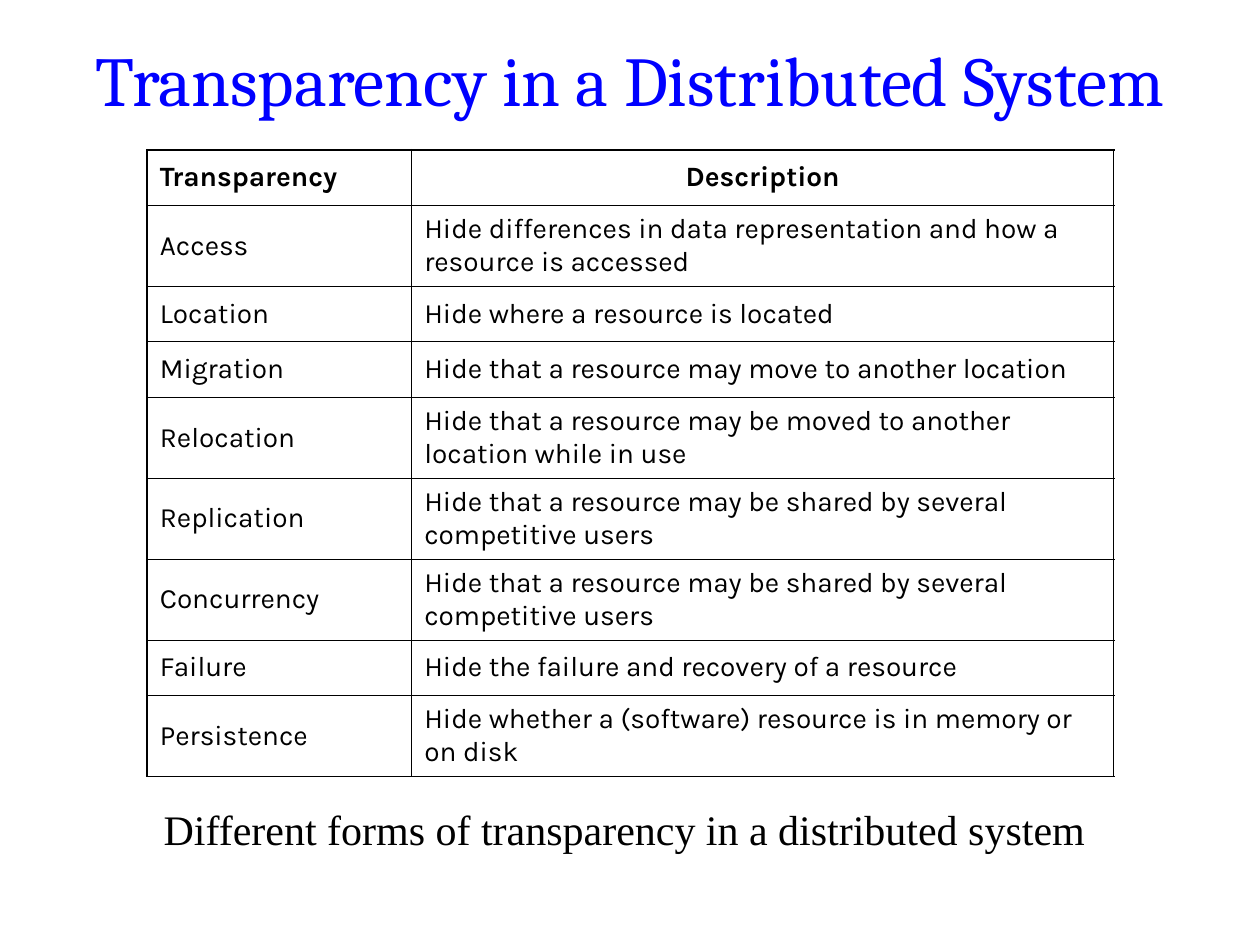
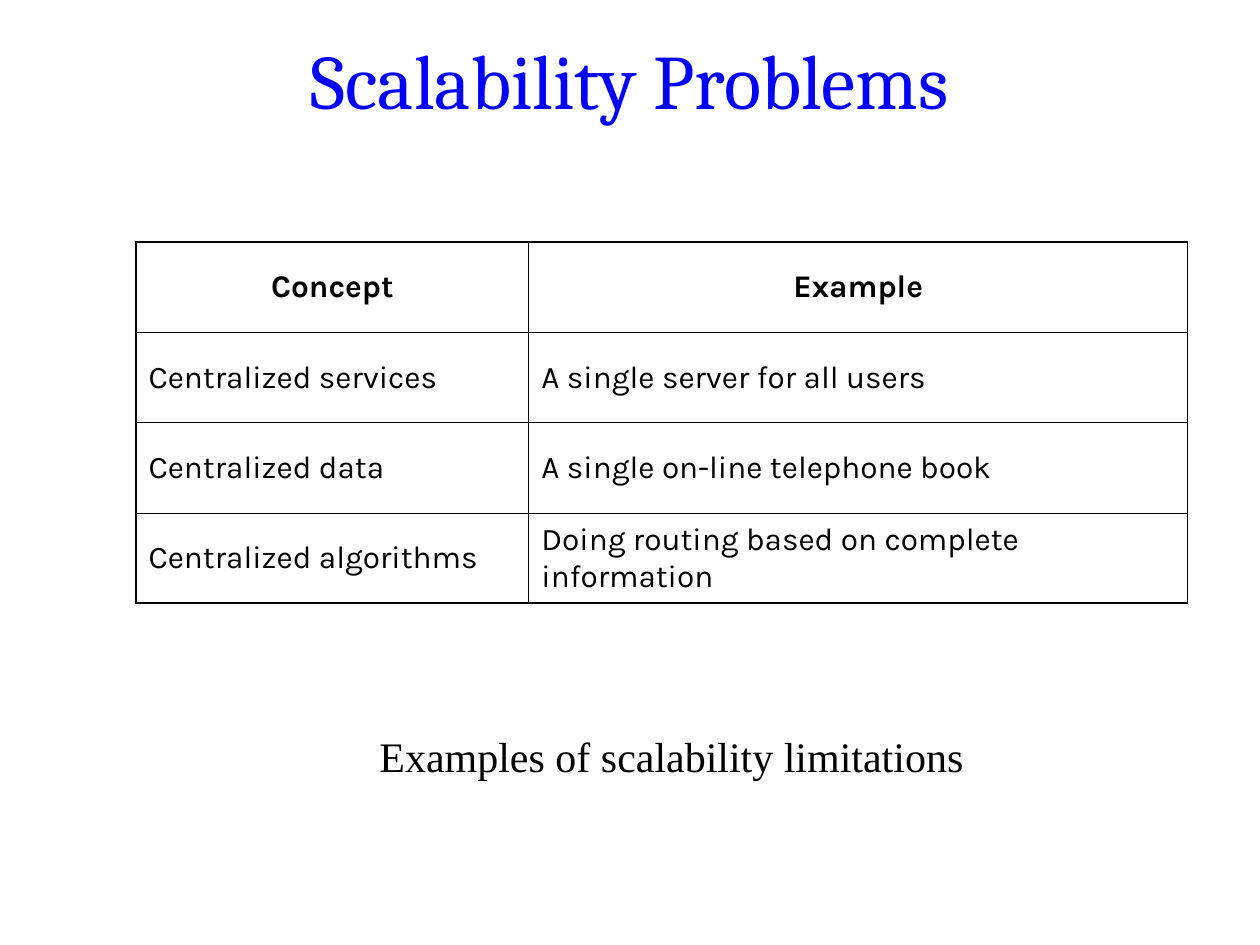
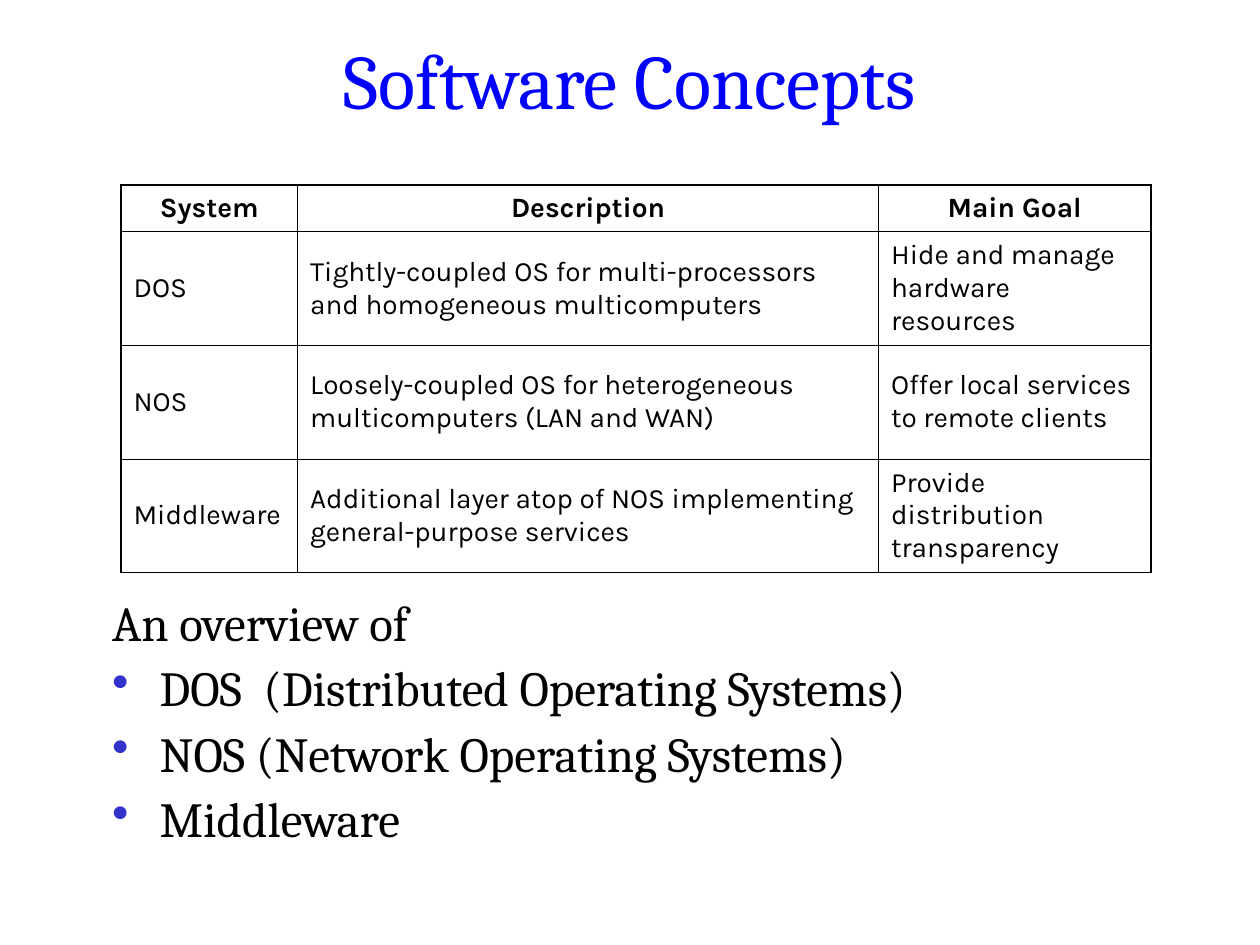
"""Three slides on distributed systems: transparency, scalability and software concepts."""
from lxml.etree import SubElement
from pptx import Presentation
from pptx.dml.color import RGBColor
from pptx.enum.text import MSO_ANCHOR as Anchor, PP_ALIGN as Align
from pptx.oxml.ns import qn
from pptx.util import Cm, Pt

COLORS = {"title": "0000FF", "text": "000000", "rule": "000000", "bullet": "3333CC"}
FONTS = {"title": "Cambria", "body": "Cambria", "caption": "Times New Roman", "table": "Karla"}
RULES = {"outer": 1.08, "inner": 0.45}
SLIDE_SIZE = (25.4, 19.05)
TITLE_BOX = (0, 0, 25.4, 3.18)
HANGING = 0.96
ONE_LINE, TWO_LINES = 1.12, 1.63

SLIDES = [
    {
        "title": ("Transparency in a Distributed System", 40),
        "caption": ("Different forms of transparency in a distributed system", (0.84, 16.08, 23.5, 1.27)),
        "table": {
            "corner": (2.97, 3.02),
            "columns": (5.33, 14.15),
            "rows": [ONE_LINE, TWO_LINES, ONE_LINE, ONE_LINE, TWO_LINES,
                     TWO_LINES, TWO_LINES, ONE_LINE, TWO_LINES],
            "size": 16,
            "head_align": (Align.LEFT, Align.CENTER),
            "cells": [
                ("Transparency", "Description"),
                ("Access", "Hide differences in data representation and how a resource is accessed"),
                ("Location", "Hide where a resource is located"),
                ("Migration", "Hide that a resource may move to another location"),
                ("Relocation", "Hide that a resource may be moved to another location while in use"),
                ("Replication", "Hide that a resource may be shared by several competitive users"),
                ("Concurrency", "Hide that a resource may be shared by several competitive users"),
                ("Failure", "Hide the failure and recovery of a resource"),
                ("Persistence", "Hide whether a (software) resource is in memory or on disk"),
            ],
        },
    },
    {
        "title": ("Scalability Problems", 44),
        "caption": ("Examples of scalability limitations", (3.38, 14.6, 20.32, 1.27)),
        "table": {
            "corner": (2.74, 4.88),
            "columns": (7.92, 13.28),
            "rows": [1.82] * 4,
            "size": 18,
            "head_align": (Align.CENTER,) * 2,
            "cells": [
                ("Concept", "Example"),
                ("Centralized services", "A single server for all users"),
                ("Centralized data", "A single on-line telephone book"),
                ("Centralized algorithms", "Doing routing based on complete information"),
            ],
        },
    },
    {
        "title": ("Software Concepts", 44),
        "overview": {
            "box": (2.01, 11.96, 22.43, 5.28),
            "intro": "An overview of",
            "systems": [
                "DOS  (Distributed Operating Systems)",
                "NOS (Network Operating Systems)",
                "Middleware",
            ],
        },
        "table": {
            "corner": (2.44, 3.73),
            "columns": (3.56, 11.71, 5.49),
            "rows": [0.94] + [2.29] * 3,
            "size": 16,
            "head_align": (Align.CENTER,) * 3,
            "cells": [
                ("System", "Description", "Main Goal"),
                ("DOS", "Tightly-coupled OS for multi-processors and homogeneous multicomputers",
                 "Hide and manage hardware resources"),
                ("NOS", "Loosely-coupled OS for heterogeneous multicomputers (LAN and WAN)",
                 "Offer local services to remote clients"),
                ("Middleware", "Additional layer atop of NOS implementing general-purpose services",
                 "Provide distribution transparency"),
            ],
        },
    },
]


def style(paragraph, role, size, color="text", align=Align.LEFT, before=0, bold=False):
    paragraph.alignment = align
    paragraph.space_before = Pt(before)
    font = paragraph.font
    font.name, font.size, font.bold = FONTS[role], Pt(size), bold
    font.color.rgb = RGBColor.from_string(COLORS[color])


def add_frame(slide, box, anchor=Anchor.TOP):
    frame = slide.shapes.add_textbox(*map(Cm, box)).text_frame
    frame.word_wrap = True
    frame.vertical_anchor = anchor
    return frame


def add_title(slide, wording, size):
    heading = add_frame(slide, TITLE_BOX, Anchor.MIDDLE).paragraphs[0]
    heading.text = wording
    style(heading, "title", size, "title", Align.CENTER)


def add_caption(slide, wording, box):
    caption = add_frame(slide, box).paragraphs[0]
    caption.text = wording
    style(caption, "caption", 24, align=Align.CENTER, before=15)


def hang(paragraph, bulleted):
    props = paragraph._p.get_or_add_pPr()
    props.set("marL", str(Cm(HANGING)))
    props.set("indent", str(-Cm(HANGING)))
    if bulleted:
        tint = SubElement(props, qn("a:buClr"))
        SubElement(tint, qn("a:srgbClr"), val=COLORS["bullet"])
        SubElement(props, qn("a:buChar"), char="•")
    else:
        SubElement(props, qn("a:buNone"))


def add_overview(slide, box, intro, systems):
    frame = add_frame(slide, box)
    frame.text = "\n".join([intro, *systems])
    for index, line in enumerate(frame.paragraphs):
        style(line, "body", 28, before=7)
        line.line_spacing = 0.9
        hang(line, bulleted=index > 0)


def rule_cell(cell, outer_sides):
    props = cell._tc.get_or_add_tcPr()
    for side, is_outer in outer_sides.items():
        width = Pt(RULES["outer" if is_outer else "inner"])
        rule = SubElement(props, qn(f"a:ln{side}"), w=str(width))
        fill = SubElement(rule, qn("a:solidFill"))
        SubElement(fill, qn("a:srgbClr"), val=COLORS["rule"])


def add_grid(slide, corner, columns, rows, size, head_align, cells):
    extent = (sum(columns), sum(rows))
    grid = slide.shapes.add_table(len(rows), len(columns), *map(Cm, corner + extent)).table
    grid.first_row = grid.horz_banding = False
    for column, width in zip(grid.columns, columns):
        column.width = Cm(width)
    for r, (height, wordings) in enumerate(zip(rows, cells)):
        grid.rows[r].height = Cm(height)
        for c, wording in enumerate(wordings):
            cell = grid.cell(r, c)
            cell.text = wording
            cell.vertical_anchor = Anchor.MIDDLE
            rule_cell(cell, {"L": c == 0, "R": c == len(columns) - 1,
                             "T": r == 0, "B": r == len(rows) - 1})
            cell.fill.background()
            is_head = r == 0
            style(cell.text_frame.paragraphs[0], "table", size, before=size / 4, bold=is_head,
                  align=head_align[c] if is_head else Align.LEFT)


def main():
    deck = Presentation()
    deck.slide_width, deck.slide_height = map(Cm, SLIDE_SIZE)
    for content in SLIDES:
        slide = deck.slides.add_slide(deck.slide_layouts[6])
        add_title(slide, *content["title"])
        if "caption" in content:
            add_caption(slide, *content["caption"])
        if "overview" in content:
            add_overview(slide, **content["overview"])
        add_grid(slide, **content["table"])
    deck.save("out.pptx")


if __name__ == "__main__":
    main()
